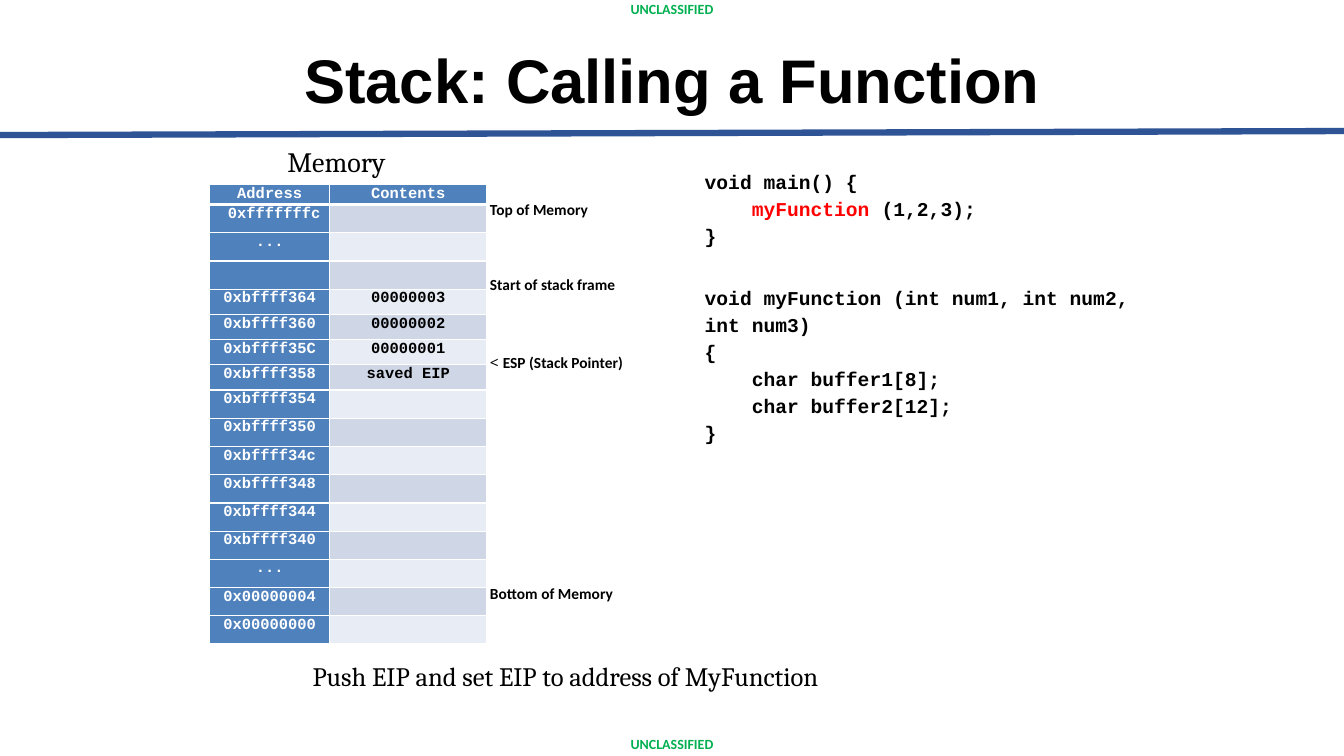
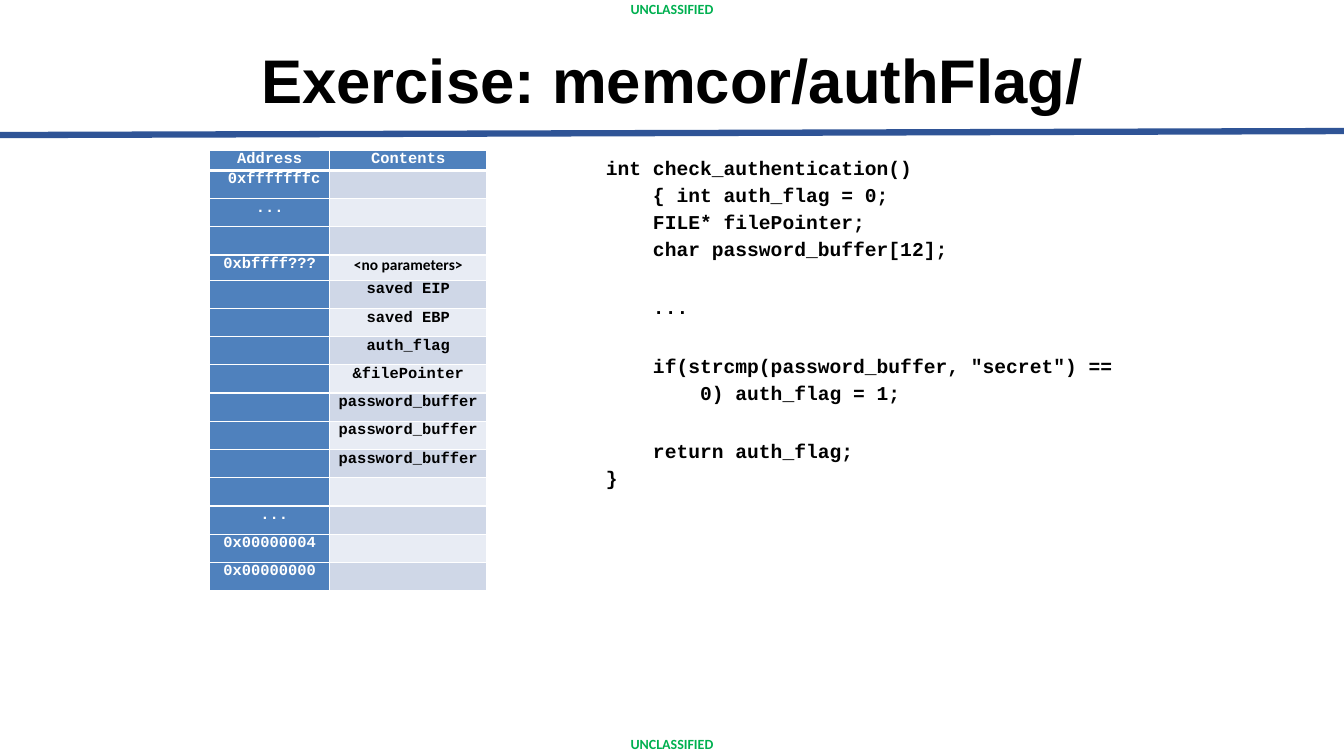
"""Two training slides that show a stack memory map beside its source code."""
from dataclasses import dataclass
from lxml import etree
from pptx import Presentation
from pptx import util as u
from pptx.dml.color import RGBColor
from pptx.enum import shapes, text
from pptx.oxml import ns


@dataclass(frozen=True)
class Style:
    font: str
    size: float
    colour: str = "000000"
    bold: bool = True


class Theme:
    rule, white, red = "2F5496", "FFFFFF", "FF0000"
    address_fill, stripes = "4F81BD", ("E8ECF4", "CFD7E7")
    title = Style("Arial", 44)
    marking = Style("Calibri", 10, "00B050")
    label = Style("Calibri", 11)
    pointer = Style("Noto Sans", 11, bold=False)
    heading = Style("Cambria", 20, bold=False)
    caption = Style("Cambria", 19, bold=False)
    code = Style("Courier New", 14)
    call = Style("Courier New", 14, red)
    address = Style("Courier New", 11, white)
    contents = Style("Courier New", 11)
    code_pitch, code_gap = u.Pt(19.3), u.Pt(22.5)


def add_run(paragraph, words, style):
    run = paragraph.add_run()
    run.text = words
    run.font.name, run.font.size, run.font.bold = style.font, u.Pt(style.size), style.bold
    run.font.color.rgb = RGBColor.from_string(style.colour)


def add_text(slide, place, lines, insets=(0.01, 0.01, 0, 0), centred=False, spacing=None):
    frame = slide.shapes.add_textbox(*map(u.Inches, place)).text_frame
    frame.word_wrap = True
    frame.margin_left, frame.margin_top, frame.margin_right, frame.margin_bottom = map(u.Inches, insets)
    frame.vertical_anchor = text.MSO_ANCHOR.MIDDLE if centred else text.MSO_ANCHOR.TOP
    for number, (gap, runs) in enumerate(lines):
        paragraph = frame.add_paragraph() if number else frame.paragraphs[0]
        paragraph.alignment = text.PP_ALIGN.CENTER if centred else text.PP_ALIGN.LEFT
        if gap:
            paragraph.space_before = gap
        if spacing:
            paragraph.line_spacing = spacing
        for words, style in runs:
            add_run(paragraph, words, style)


lessons = [
    {
        "title": "Stack: Calling a Function",
        "memory_top": 1.83,
        "memory": [
            ("0xfffffffc", ""), ("...", ""), ("", ""),
            ("0xbffff364", "00000003"), ("0xbffff360", "00000002"),
            ("0xbffff35C", "00000001"), ("0xbffff358", "saved EIP"),
            ("0xbffff354", ""), ("0xbffff350", ""), ("0xbffff34c", ""),
            ("0xbffff348", ""), ("0xbffff344", ""), ("0xbffff340", ""),
            ("...", ""), ("0x00000004", ""), ("0x00000000", ""),
        ],
        "short_rows": range(4, 8),
        "shifted_rows": (1,),
        "notes": [
            ((4.85, 1.98, 1, 0.2), [("Top of Memory", Theme.label)]),
            ((4.85, 2.72, 1.27, 0.2), [("Start of stack frame", Theme.label)]),
            ((4.85, 3.49, 1.37, 0.2), [("< ", Theme.pointer), ("ESP (Stack Pointer)", Theme.label)]),
            ((4.85, 5.79, 1.25, 0.2), [("Bottom of Memory", Theme.label)]),
            ((3.09, 6.54, 5.88, 0.33), [("Push EIP and set EIP to address of MyFunction", Theme.caption)]),
            ((2.84, 1.42, 1.06, 0.35), [("Memory", Theme.heading)]),
        ],
        "code": [
            ((6.98, 1.6, 2.9, 0.83), [
                (0, [("void main() {", Theme.code)]),
                (0, [("    myFunction ", Theme.call), ("(1,2,3);", Theme.code)]),
                (0, [("}", Theme.code)]),
            ]),
            ((6.98, 2.75, 4.23, 1.65), [
                (0, [(line, Theme.code)]) for line in (
                    "void myFunction (int num1, int num2, int num3)",
                    "{",
                    "    char buffer1[8];",
                    "    char buffer2[12];",
                    "}",
                )
            ]),
        ],
    },
    {
        "title": "Exercise: memcor/authFlag/",
        "memory_top": 1.49,
        "memory": [
            ("0xfffffffc", ""), ("...", ""), ("", ""),
            ("0xbffff???", "<no parameters>"), ("", "saved EIP"), ("", "saved EBP"),
            ("", "auth_flag"), ("", "&filePointer"),
            *[("", "password_buffer")] * 3,
            ("", ""), ("...", ""), ("0x00000004", ""), ("0x00000000", ""),
        ],
        "short_rows": (4,),
        "shifted_rows": (1, 13),
        "notes": [],
        "code": [
            ((6, 1.46, 5.4, 3.39), [
                (gap, [(line, Theme.code)]) for gap, line in (
                    (0, "int check_authentication()"),
                    (0, "    { int auth_flag = 0;"),
                    (0, "    FILE* filePointer;"),
                    (0, "    char password_buffer[12];"),
                    (Theme.code_gap, "    ..."),
                    (Theme.code_gap, '    if(strcmp(password_buffer, "secret") =='),
                    (0, "        0) auth_flag = 1;"),
                    (Theme.code_gap, "    return auth_flag;"),
                    (0, "}"),
                )
            ]),
        ],
    },
]

deck = Presentation()
deck.slide_width, deck.slide_height = u.Inches(13.33), u.Inches(7.5)

for lesson in lessons:
    slide = deck.slides.add_slide(deck.slide_layouts[6])

    rule = slide.shapes.add_connector(
        shapes.MSO_CONNECTOR.STRAIGHT, u.Inches(0), u.Inches(1.34), u.Inches(13.33), u.Inches(1.3))
    rule.line.color.rgb = RGBColor.from_string(Theme.rule)
    rule.line.width = u.Pt(4.5)
    etree.SubElement(rule._element.spPr, ns.qn("a:effectLst"))

    for place, words, style in (
        ((0, 0.03, 13.33, 0.13), "UNCLASSIFIED", Theme.marking),
        ((0, 7.33, 13.33, 0.13), "UNCLASSIFIED", Theme.marking),
        ((0.92, 0.34, 11.5, 0.97), lesson["title"], Theme.title),
    ):
        add_text(slide, place, [(0, [(words, style)])], (0.1, 0.05, 0.1, 0.05), True, 0.9)

    rows = [("Address", "Contents"), *lesson["memory"]]
    heights = [0.2] + [0.25 if row in lesson["short_rows"] else 0.28 for row in range(1, len(rows))]
    memory = slide.shapes.add_table(
        len(rows), 2, u.Inches(2.08), u.Inches(lesson["memory_top"]),
        u.Inches(2.75), u.Inches(sum(heights))).table
    memory.horz_banding = False
    memory.columns[0].width, memory.columns[1].width = u.Inches(1.19), u.Inches(1.56)
    for row, entries in enumerate(rows):
        memory.rows[row].height = u.Inches(heights[row])
        for column, words in enumerate(entries):
            cell = memory.cell(row, column)
            cell.margin_left = cell.margin_top = cell.margin_right = cell.margin_bottom = 0
            if column == 0 and row in lesson["shifted_rows"]:
                cell.margin_left = u.Inches(0.09)
            heavy_edge = {0: "lnB", 1: "lnT"}.get(row)
            for edge in ("lnL", "lnR", "lnT", "lnB"):
                width = u.Pt(3 if edge == heavy_edge else 1)
                border = etree.SubElement(cell._tc.get_or_add_tcPr(), ns.qn(f"a:{edge}"), w=str(width))
                paint = etree.SubElement(border, ns.qn("a:solidFill"))
                etree.SubElement(paint, ns.qn("a:srgbClr"), val=Theme.white)
            on_blue = row == 0 or column == 0
            cell.fill.solid()
            cell.fill.fore_color.rgb = RGBColor.from_string(
                Theme.address_fill if on_blue else Theme.stripes[row % 2])
            entry = cell.text_frame.paragraphs[0]
            entry.alignment = text.PP_ALIGN.CENTER
            entry.line_spacing = 1.04
            if not words:
                etree.SubElement(entry._p, ns.qn("a:endParaRPr"), sz="1100")
            elif words.startswith("<"):
                add_run(entry, words, Theme.label)
            else:
                add_run(entry, words, Theme.address if on_blue else Theme.contents)

    for place, runs in lesson["notes"]:
        add_text(slide, place, [(0, runs)])
    for place, lines in lesson["code"]:
        add_text(slide, place, lines, (0.01, 0.05, 0, 0), spacing=Theme.code_pitch)

deck.save("out.pptx")
